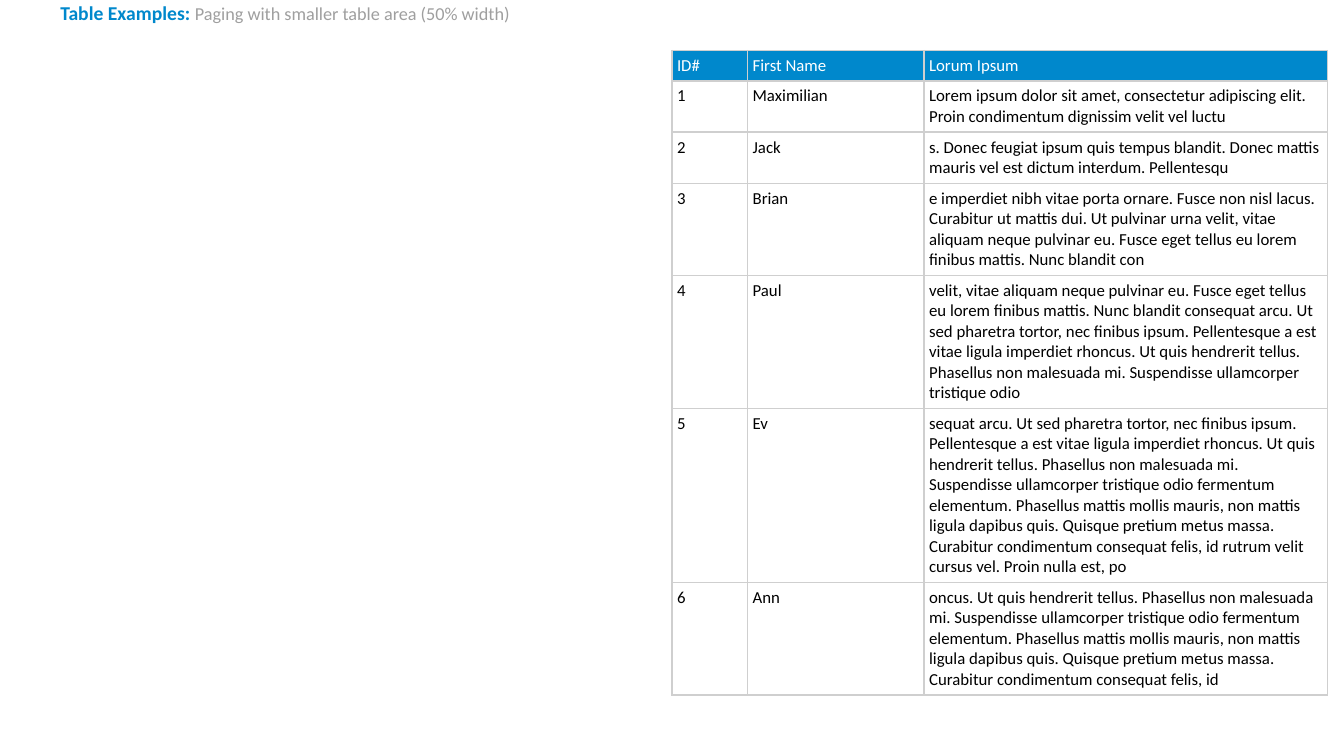
"""Build a slide with a title line and a paged table on its right half."""
from typing import NamedTuple

import pptx
import pptx.dml.color
import pptx.enum.text
import pptx.oxml
import pptx.oxml.ns
import pptx.util
from lxml import etree

BLUE = pptx.dml.color.RGBColor(0x00, 0x88, 0xCC)
GREY = pptx.dml.color.RGBColor(0x9F, 0x9F, 0x9F)
BORDER = pptx.dml.color.RGBColor(0xCF, 0xCF, 0xCF)
WHITE = pptx.dml.color.RGBColor(0xFF, 0xFF, 0xFF)
BLACK = pptx.dml.color.RGBColor(0x00, 0x00, 0x00)

FONT = "Calibri"
MIDDLE = pptx.enum.text.MSO_ANCHOR.MIDDLE
TOP = pptx.enum.text.MSO_ANCHOR.TOP

SLIDE_WIDTH = pptx.util.Inches(13.33)
SLIDE_HEIGHT = pptx.util.Inches(7.5)
TABLE_LEFT = SLIDE_WIDTH // 2
TABLE_TOP = SLIDE_HEIGHT // 15
COLUMN_WIDTHS = [pptx.util.Inches(width) for width in (0.75, 1.75, 4)]
LINE_HEIGHT = pptx.util.Pt(14.65)
CELL_MARGIN = pptx.util.Inches(0.05)
BORDER_WIDTH = pptx.util.Pt(1)


class Record(NamedTuple):
    """One row of the table and the number of text lines it holds."""
    lines: int
    number: str
    first_name: str
    lorum: str


HEADER = Record(1, "ID#", "First Name", "Lorum Ipsum")
RECORDS = [
    Record(2, "1", "Maximilian",
           "Lorem ipsum dolor sit amet, consectetur adipiscing elit. "
           "Proin condimentum dignissim velit vel luctu"),
    Record(2, "2", "Jack",
           "s. Donec feugiat ipsum quis tempus blandit. Donec mattis "
           "mauris vel est dictum interdum. Pellentesqu"),
    Record(4, "3", "Brian",
           "e imperdiet nibh vitae porta ornare. Fusce non nisl lacus. "
           "Curabitur ut mattis dui. Ut pulvinar urna velit, vitae aliquam "
           "neque pulvinar eu. Fusce eget tellus eu lorem finibus mattis. "
           "Nunc blandit con"),
    Record(6, "4", "Paul",
           "velit, vitae aliquam neque pulvinar eu. Fusce eget tellus eu "
           "lorem finibus mattis. Nunc blandit consequat arcu. Ut sed "
           "pharetra tortor, nec finibus ipsum. Pellentesque a est vitae "
           "ligula imperdiet rhoncus. Ut quis hendrerit tellus. Phasellus "
           "non malesuada mi. Suspendisse ullamcorper tristique odio"),
    Record(8, "5", "Ev",
           "sequat arcu. Ut sed pharetra tortor, nec finibus ipsum. "
           "Pellentesque a est vitae ligula imperdiet rhoncus. Ut quis "
           "hendrerit tellus. Phasellus non malesuada mi. Suspendisse "
           "ullamcorper tristique odio fermentum elementum. Phasellus "
           "mattis mollis mauris, non mattis ligula dapibus quis. Quisque "
           "pretium metus massa. Curabitur condimentum consequat felis, id "
           "rutrum velit cursus vel. Proin nulla est, po"),
    Record(5, "6", "Ann",
           "oncus. Ut quis hendrerit tellus. Phasellus non malesuada mi. "
           "Suspendisse ullamcorper tristique odio fermentum elementum. "
           "Phasellus mattis mollis mauris, non mattis ligula dapibus quis. "
           "Quisque pretium metus massa. Curabitur condimentum consequat "
           "felis, id"),
]


def add_text(para, text: str, *, size: float = 12, color=BLACK,
             bold: bool = False) -> None:
    """Add a formatted span to a paragraph."""
    span = para.add_run()
    span.text = text
    span.font.name = FONT
    span.font.size = pptx.util.Pt(size)
    span.font.bold = bold
    span.font.color.rgb = color


def add_borders(cell) -> None:
    """Draw a solid line on all four sides of a cell."""
    properties = cell._tc.get_or_add_tcPr()
    for side in ("lnL", "lnR", "lnT", "lnB"):
        line = etree.SubElement(properties, pptx.oxml.ns.qn(f"a:{side}"),
                                w=str(BORDER_WIDTH))
        fill = etree.SubElement(line, pptx.oxml.ns.qn("a:solidFill"))
        etree.SubElement(fill, pptx.oxml.ns.qn("a:srgbClr"), val=str(BORDER))


def fill_cell(cell, text: str, is_header: bool) -> None:
    """Write and style one table cell."""
    cell.margin_left = cell.margin_right = CELL_MARGIN
    cell.margin_top = cell.margin_bottom = CELL_MARGIN
    cell.vertical_anchor = MIDDLE if is_header else TOP
    add_borders(cell)
    if is_header:
        cell.fill.solid()
        cell.fill.fore_color.rgb = BLUE
    else:
        cell.fill.background()
    add_text(cell.text_frame.paragraphs[0], text,
             color=WHITE if is_header else BLACK)


def add_title(page) -> None:
    """Add the title line, centred on the box's vertical position."""
    box = page.shapes.add_textbox(pptx.util.Inches(0.5), pptx.util.Inches(0.13),
                                  pptx.util.Inches(12), 0)
    box.text_frame.word_wrap = True
    box.text_frame.vertical_anchor = MIDDLE
    para = box.text_frame.paragraphs[0]
    add_text(para, "Table Examples: ", size=14, color=BLUE, bold=True)
    add_text(para, "Paging with smaller table area (50% width)",
             size=13, color=GREY)


def add_records(page, records: list[Record]) -> None:
    """Add the table, with the header as its first row."""
    rows = [HEADER, *records]
    heights = [record.lines * LINE_HEIGHT + 2 * CELL_MARGIN for record in rows]
    table = page.shapes.add_table(
        len(rows), len(COLUMN_WIDTHS), TABLE_LEFT, TABLE_TOP,
        sum(COLUMN_WIDTHS), sum(heights)).table
    table.first_row = table.horz_banding = False
    for column, width in zip(table.columns, COLUMN_WIDTHS):
        column.width = width
    for row, record, height in zip(table.rows, rows, heights):
        row.height = height
        for cell, text in zip(row.cells, record[1:]):
            fill_cell(cell, text, record is HEADER)


deck = pptx.Presentation()
deck.slide_width = SLIDE_WIDTH
deck.slide_height = SLIDE_HEIGHT
page = deck.slides.add_slide(deck.slide_layouts[6])
add_title(page)
add_records(page, RECORDS)
deck.save("out.pptx")
